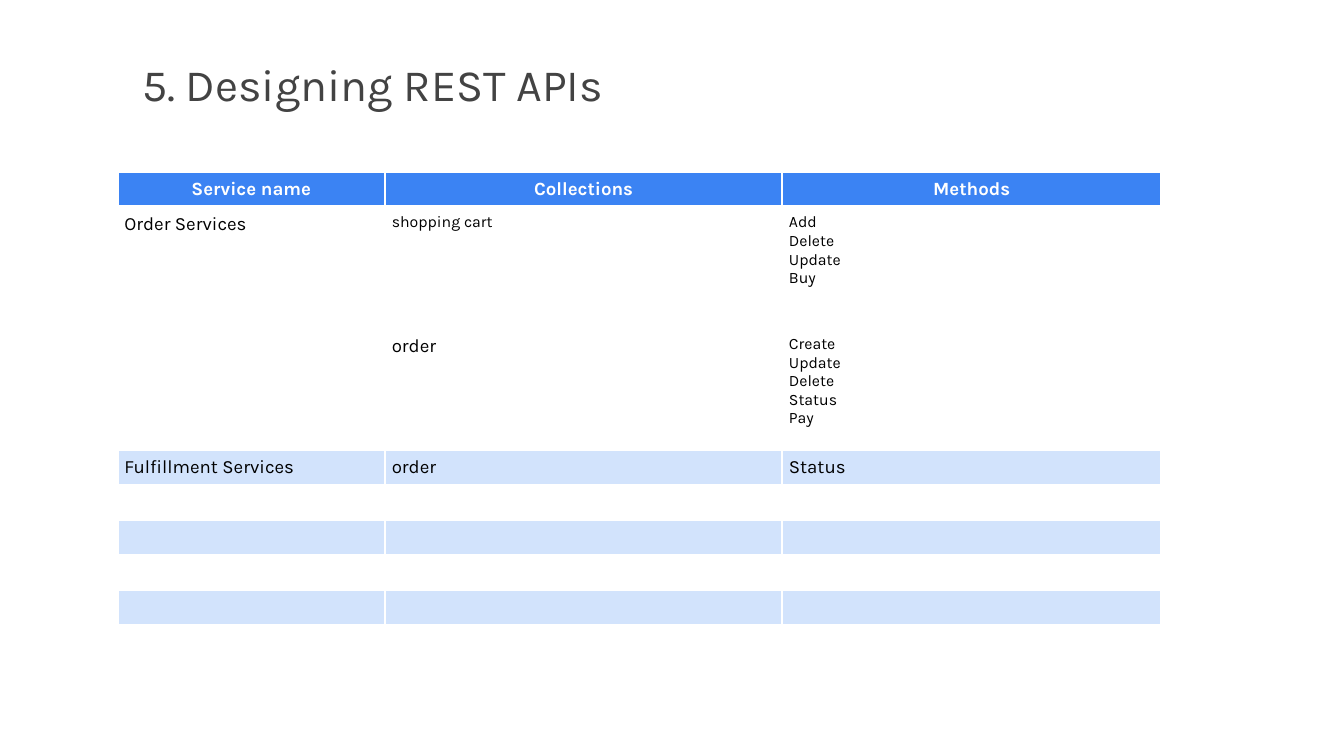
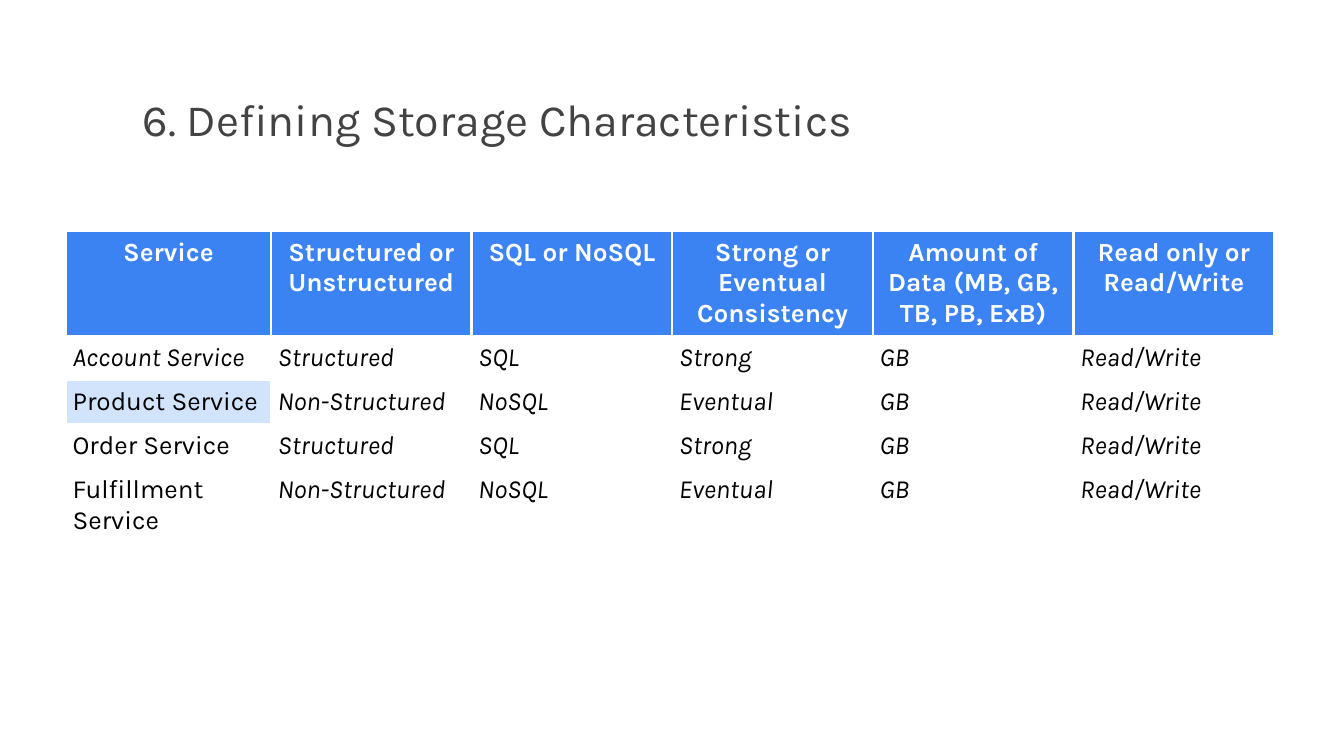
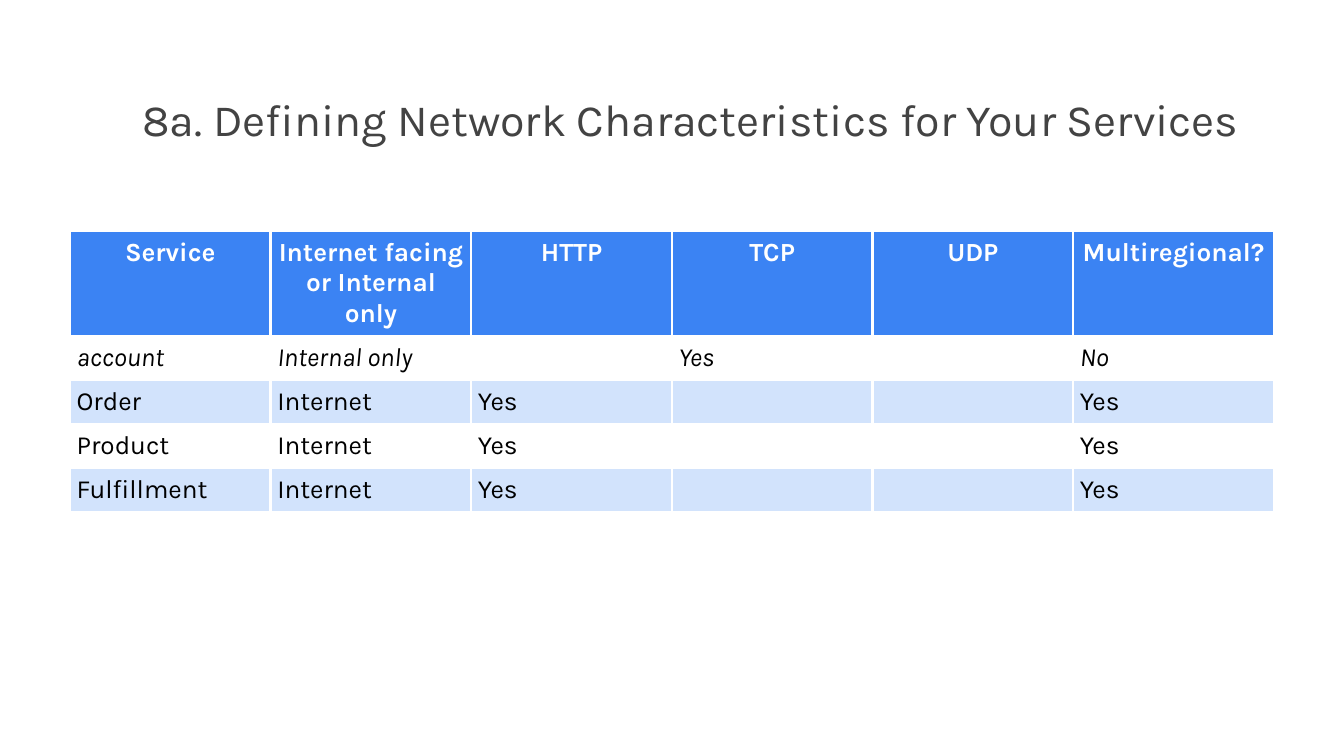
from pptx import Presentation
from pptx.dml.color import RGBColor
from pptx.enum.text import MSO_ANCHOR, MSO_AUTO_SIZE, PP_ALIGN
from pptx.oxml import parse_xml
from pptx.oxml.ns import nsdecls
from pptx.util import Pt

FONT = "Karla"
BLUE = RGBColor(0x3B, 0x83, 0xF3)
PALE = RGBColor(0xD2, 0xE3, 0xFC)
WHITE = RGBColor(0xFF, 0xFF, 0xFF)
BLACK = RGBColor(0, 0, 0)
GREY = RGBColor(0x43, 0x43, 0x43)
PAD = Pt(7.2)


def write(frame, text, size=28, color=BLACK, bold=False, italic=False, align=PP_ALIGN.LEFT):
    """Put each line of text in its own paragraph, all in one format."""
    for i, line in enumerate(text.split("\n")):
        para = frame.paragraphs[0] if i == 0 else frame.add_paragraph()
        para.alignment = align
        run = para.add_run()
        run.text = line
        font = run.font
        font.name, font.size, font.color.rgb = FONT, Pt(size), color
        font.bold, font.italic = bold, italic


def edge(cell):
    """Draw a white border on all four sides; call before the cell is filled."""
    props = cell._tc.get_or_add_tcPr()
    for tag in ("lnL", "lnR", "lnT", "lnB"):
        props.append(parse_xml(
            f'<a:{tag} {nsdecls("a")} w="{Pt(3)}"><a:solidFill>'
            f'<a:srgbClr val="{WHITE}"/></a:solidFill></a:{tag}>'))


# "pale" and "slant" hold the (row, column) of tinted and italic cells,
# "small" the cells set in 17 points.
SLIDES = [
    dict(
        title="5. Designing REST APIs", place=(145, 46.8, 1150.6, 85),
        spot=(126, 183.6), tall=491.8, size=20,
        cols=[286.6, 425.5, 406.1], rows=[37.4, 130.3, 130.3] + [37.4] * 5,
        cells=[
            ["Service name", "Collections", "Methods"],
            ["Order Services", "shopping cart", "Add\nDelete\nUpdate\nBuy"],
            ["", "order", "Create\nUpdate\nDelete\nStatus\nPay"],
            ["Fulfillment Services", "order", "Status"],
        ] + [[""] * 3] * 4,
        pale={(r, c) for r in (3, 5, 7) for c in range(3)},
        slant=set(), small={(1, 1), (1, 2), (2, 2)},
    ),
    dict(
        title="6. Defining Storage Characteristics", place=(145.4, 85, 1150.6, 85),
        spot=(70.6, 247), tall=455.8, size=28,
        cols=[219.6] + [215] * 5, rows=[30] * 6,
        cells=[
            ["Service", "Structured or Unstructured", "SQL or NoSQL",
             "Strong or Eventual Consistency",
             "Amount of Data (MB, GB, TB, PB, ExB)", "Read only or Read/Write"],
            ["Account Service", "Structured", "SQL", "Strong", "GB", "Read/Write"],
            ["Product Service", "Non-Structured", "NoSQL", "Eventual", "GB", "Read/Write"],
            ["Order Service", "Structured", "SQL", "Strong", "GB", "Read/Write"],
            ["Fulfillment Service", "Non-Structured", "NoSQL", "Eventual", "GB", "Read/Write"],
            [""] * 6,
        ],
        pale={(2, 0)}, small=set(),
        slant={(1, 0)} | {(r, c) for r in range(1, 5) for c in range(1, 6)},
    ),
    dict(
        title="8a. Defining Network Characteristics for Your Services",
        place=(145.4, 85, 1276.6, 85),
        spot=(74.9, 247), tall=355, size=28,
        cols=[215] * 6, rows=[30] * 6,
        cells=[
            ["Service", "Internet facing or Internal only", "HTTP", "TCP", "UDP",
             "Multiregional?"],
            ["account", "Internal only", "", "Yes", "", "No"],
            ["Order", "Internet", "Yes", "", "", "Yes"],
            ["Product", "Internet", "Yes", "", "", "Yes"],
            ["Fulfillment", "Internet", "Yes", "", "", "Yes"],
            [""] * 6,
        ],
        pale={(r, c) for r in (2, 4) for c in range(6)},
        slant={(1, c) for c in range(6)}, small=set(),
    ),
]

deck = Presentation()
deck.slide_width, deck.slide_height = Pt(1440), Pt(810)

for data in SLIDES:
    slide = deck.slides.add_slide(deck.slide_layouts[5])

    title = slide.shapes.title
    title.left, title.top, title.width, title.height = map(Pt, data["place"])
    frame = title.text_frame
    frame.auto_size, frame.word_wrap = MSO_AUTO_SIZE.NONE, True
    frame.vertical_anchor = MSO_ANCHOR.MIDDLE
    frame.margin_left = frame.margin_right = frame.margin_top = frame.margin_bottom = PAD
    write(frame, data["title"], size=48, color=GREY)

    cols, rows = data["cols"], data["rows"]
    left, top = map(Pt, data["spot"])
    holder = slide.shapes.add_table(
        len(rows), len(cols), left, top, Pt(sum(cols)), Pt(sum(rows)))
    table = holder.table
    table.first_row = table.horz_banding = False
    for col, width in zip(table.columns, cols):
        col.width = Pt(width)
    for row, height in zip(table.rows, rows):
        row.height = Pt(height)
    holder.height = Pt(data["tall"])

    for r, line in enumerate(data["cells"]):
        for c, text in enumerate(line):
            cell = table.cell(r, c)
            cell.margin_left = cell.margin_right = PAD
            cell.margin_top = cell.margin_bottom = PAD
            edge(cell)
            if r == 0 or (r, c) in data["pale"]:
                cell.fill.solid()
                cell.fill.fore_color.rgb = PALE if r else BLUE
            else:
                cell.fill.background()
            if r == 0:
                write(cell.text_frame, text, size=data["size"], color=WHITE,
                      bold=True, align=PP_ALIGN.CENTER)
            elif text:
                write(cell.text_frame, text,
                      size=17 if (r, c) in data["small"] else data["size"],
                      italic=(r, c) in data["slant"])

deck.save("out.pptx")
